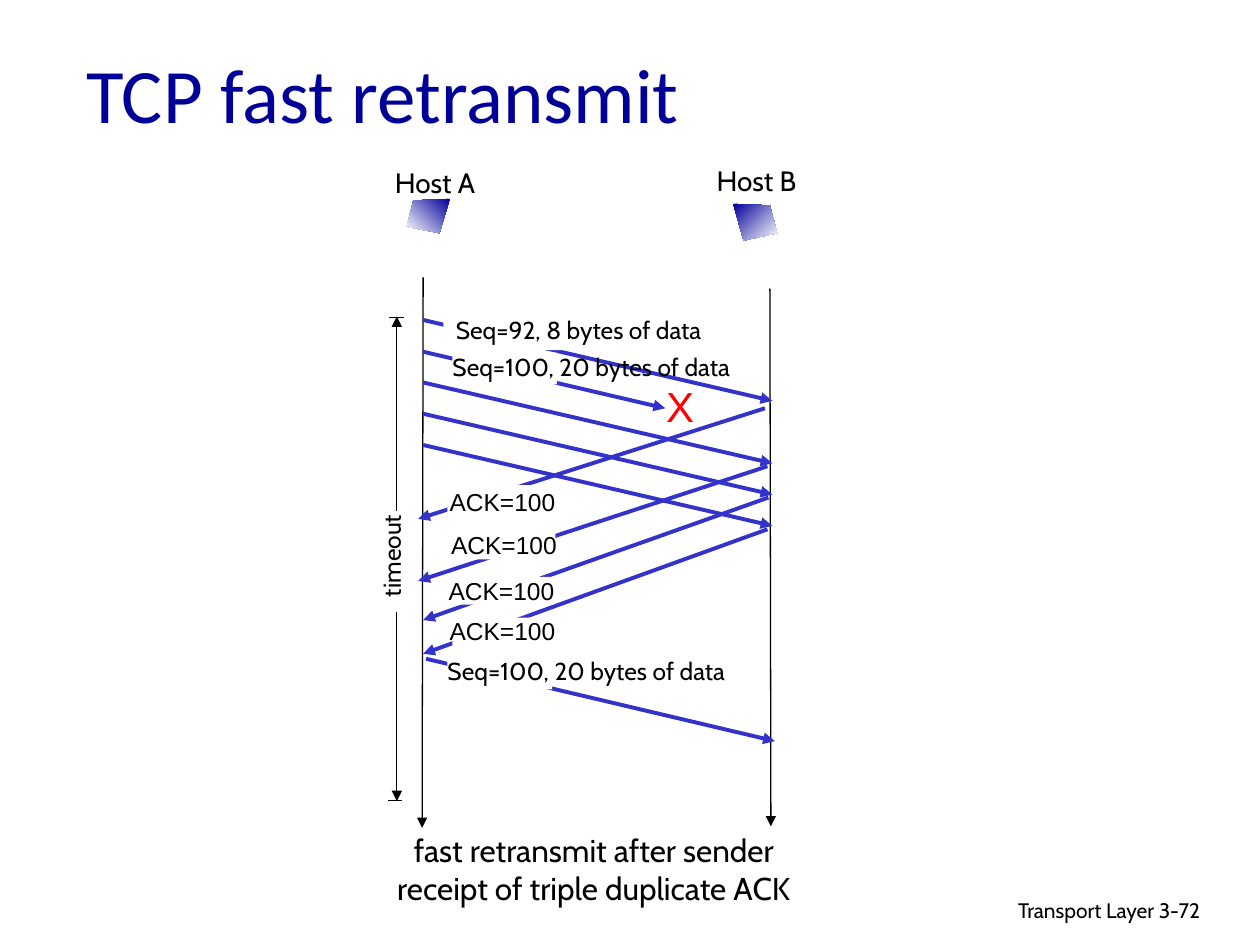
from lxml import etree
from pptx import Presentation
from pptx.dml.color import RGBColor
from pptx.enum.shapes import MSO_CONNECTOR, MSO_SHAPE
from pptx.enum.text import MSO_ANCHOR, PP_ALIGN
from pptx.oxml.ns import qn
from pptx.util import Cm, Pt

LEFT, MID, RIGHT = PP_ALIGN.LEFT, PP_ALIGN.CENTER, PP_ALIGN.RIGHT
BLACK, WHITE, NAVY, BLUE, RED = "000000", "FFFFFF", "000099", "3333CC", "FF0000"

# Content; all lengths in cm
TITLE = "TCP fast retransmit"
SEND = {"left": 8.53, "right": 15.57, "top": 6.45, "step": 0.63, "drop": 1.63}
ROWS = [0, 2, 3, 4]  # row 1 is the lost segment
LOST = (8.53, 7.09, 13.41, 8.23)
ACKS = [
    (15.42, 8.23, 8.43, 10.46),
    (15.47, 9.4, 8.43, 11.71),
    (15.49, 10.03, 8.53, 12.5),
    (15.47, 10.67, 8.53, 13.18),
]
RESEND = (8.59, 13.28, 15.62, 14.94)
TIMES = [
    (8.53, 5.59, 8.51, 16.69),
    (15.52, 5.82, 15.54, 16.66),
    (8, 10.31, 8, 6.38),
    (8, 12.34, 8, 16.15),
]
TICKS = [(7.85, 6.4, 8.15, 6.4), (8.1, 16.13, 7.82, 16.13)]

# Message labels: text, font, box, white patch behind
SEQ, ACK = "Seq=100, 20 bytes of data", "ACK=100"
LABELS = [
    ("Seq=92, 8 bytes of data", "Cabin", (8.77, 6.22, 5.79, 0.84), (8.94, 6.22, 5.79, 0.84)),
    (ACK, "Arial", (8.81, 9.7, 2.64, 0.84), (9.02, 9.78, 2.08, 0.69)),
    (ACK, "Arial", (8.84, 10.57, 2.64, 0.84), (9.12, 10.72, 2.08, 0.56)),
    (ACK, "Arial", (8.79, 11.48, 2.64, 0.84), (9.09, 11.63, 2.08, 0.56)),
    (ACK, "Arial", (8.81, 12.29, 2.64, 0.84), (9.12, 12.45, 2.08, 0.56)),
    (SEQ, "Cabin", (8.76, 6.97, 6.32, 0.84), (9.12, 7.11, 2.11, 0.64)),
    (SEQ, "Cabin", (8.66, 13.11, 6.32, 0.84), (9.02, 13.26, 2.11, 0.64)),
]
HOSTS = [
    ("Host A", (7.69, 3.22, 2.16, 0.94), 225,
     [(9.07, 4.01), (8.33, 4.04), (8.2, 4.57), (8.86, 4.7)]),
    ("Host B", (14.17, 3.18, 2.16, 0.94), 315,
     [(14.78, 4.11), (15.52, 4.14), (15.67, 4.7), (14.99, 4.85)]),
]
NOTE = ["fast retransmit after sender", "receipt of triple duplicate ACK"]


def rgb(code):
    return RGBColor.from_string(code)


def style(para, size, font, color, align):
    para.alignment = align
    para.font.size, para.font.name = Pt(size), font
    para.font.color.rgb = rgb(color)


def text(lines, box, size, font="Cabin", color=BLACK, align=MID, wrap=False):
    shape = slide.shapes.add_textbox(*map(Cm, box))
    frame = shape.text_frame
    frame.word_wrap = wrap
    frame.text = "\n".join(lines)
    for para in frame.paragraphs:
        style(para, size, font, color, align)
    return shape


def line(ends, color=BLACK, width=0.75, head=True):
    link = slide.shapes.add_connector(MSO_CONNECTOR.STRAIGHT, *map(Cm, ends))
    link.line.color.rgb, link.line.width = rgb(color), Pt(width)
    if head:
        etree.SubElement(link.line._get_or_add_ln(), qn("a:tailEnd"), type="triangle")
    etree.SubElement(link._element.spPr, qn("a:effectLst"))


def patch(box):
    shape = slide.shapes.add_shape(MSO_SHAPE.RECTANGLE, *map(Cm, box))
    shape.shadow.inherit = False
    shape.fill.solid()
    shape.fill.fore_color.rgb = rgb(WHITE)
    shape.line.fill.background()


def screen(points, angle):
    first, *rest = [(Cm(x), Cm(y)) for x, y in points]
    path = slide.shapes.build_freeform(*first)
    path.add_line_segments(rest, close=True)
    shape = path.convert_to_shape()
    shape.shadow.inherit = False
    shape.line.fill.background()
    shape.fill.gradient()
    shape.fill.gradient_angle = angle
    for stop, color, place in zip(shape.fill.gradient_stops, (NAVY, WHITE), (0, 1)):
        stop.color.rgb, stop.position = rgb(color), place


deck = Presentation()
deck.slide_width, deck.slide_height = Cm(25.4), Cm(19.05)
slide = deck.slides.add_slide(deck.slide_layouts[5])

# Title
title = slide.shapes.title
title.left, title.top, title.width, title.height = map(Cm, (1.48, 0.61, 14, 2.51))
title.text_frame.text = TITLE
title.text_frame.vertical_anchor = MSO_ANCHOR.MIDDLE
style(title.text_frame.paragraphs[0], 44, "Calibri", NAVY, LEFT)

# Time axes and timeout span
for ends in TIMES:
    line(ends)
for ends in TICKS:
    line(ends, head=False)

# Messages
sends = []
for row in ROWS:
    y = SEND["top"] + row * SEND["step"]
    sends.append((SEND["left"], y, SEND["right"], y + SEND["drop"]))
for ends in [*sends, LOST, *ACKS, RESEND]:
    line(ends, BLUE, 2.25)
text(["X"], (13.18, 7.54, 0.79, 1.27), 24, "Arial", RED, wrap=True)

# Labels
for words, font, box, cover in LABELS:
    patch(cover)
    text([words], box, 14, font)
text(["timeout"], (6.51, 10.66, 3, 1.09), 14).rotation = 270

# Hosts
for name, box, angle, points in HOSTS:
    text([name], box, 16)
    screen(points, angle)

# Closing note and footer
text(NOTE, (7.55, 16.63, 8.84, 1.78), 18)
text(["Transport Layer"], (15.47, 17.96, 8.05, 0.79), 12, align=RIGHT, wrap=True)
text(["3-72"], (23.11, 17.96, 1.88, 0.76), 12, align=LEFT, wrap=True)

deck.save("out.pptx")
